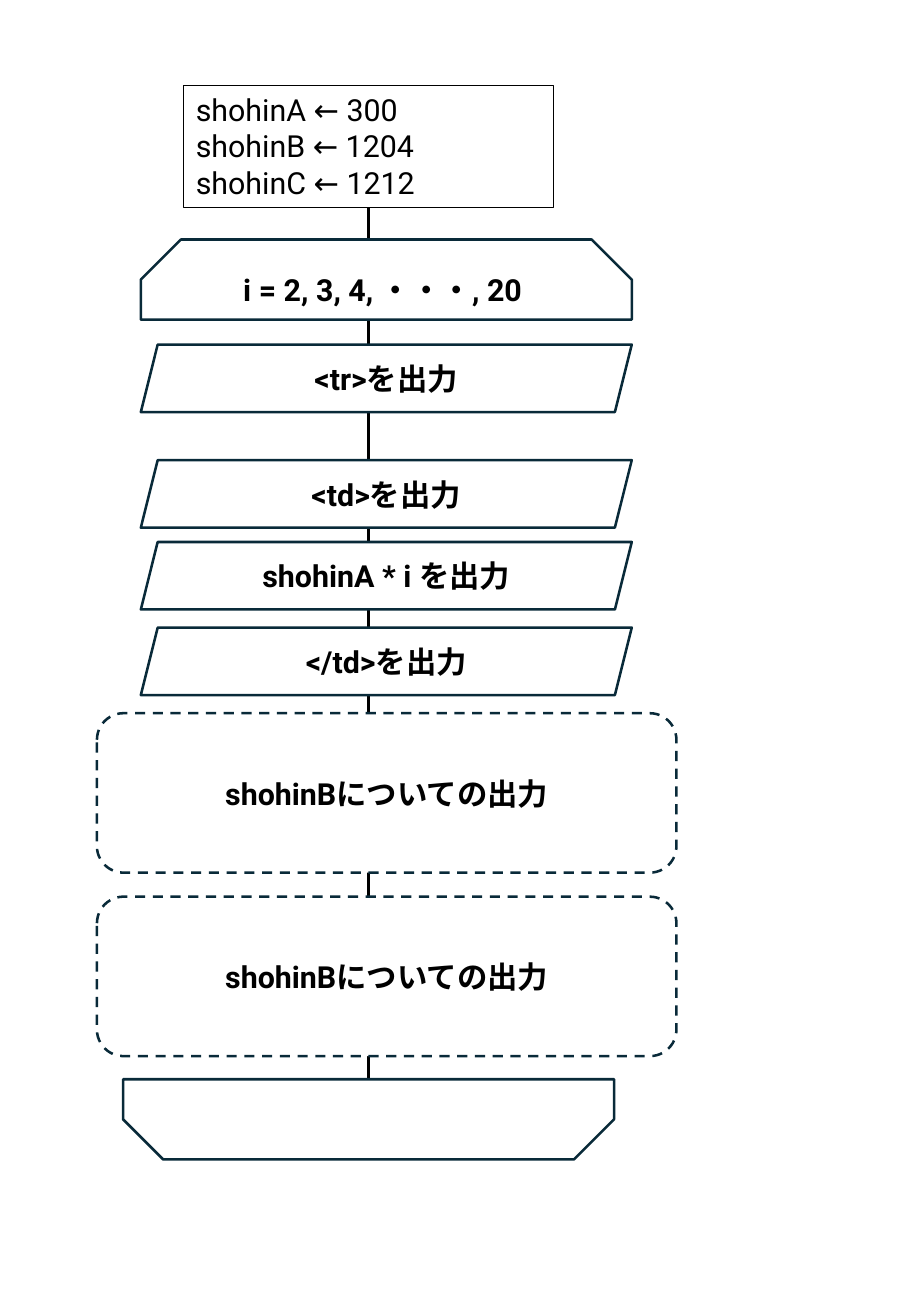
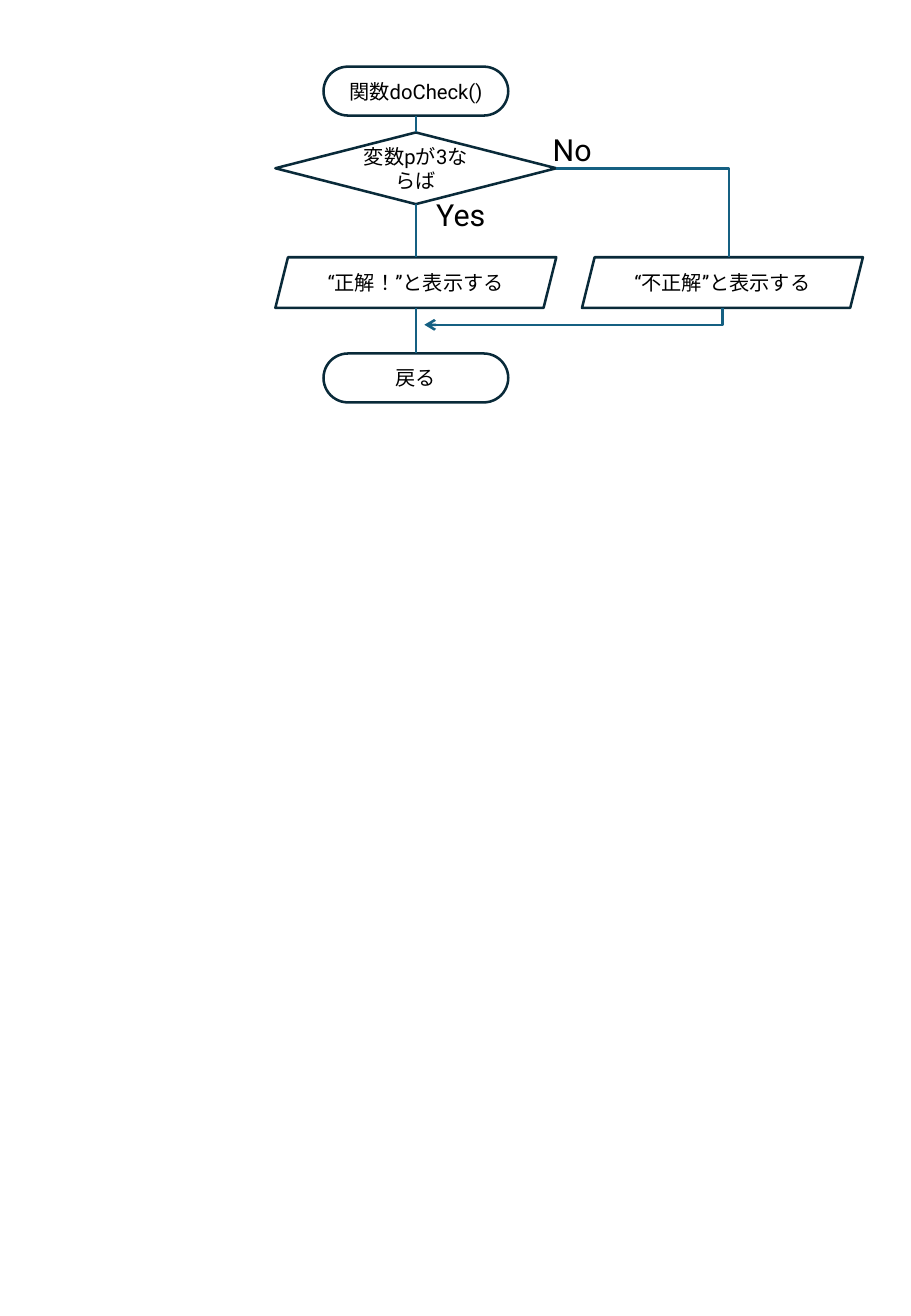
from dataclasses import dataclass
from typing import Optional

from lxml.etree import SubElement
from pptx import Presentation
from pptx.dml.color import RGBColor
from pptx.enum.dml import MSO_LINE
from pptx.enum.lang import MSO_LANGUAGE_ID
from pptx.enum.shapes import MSO_CONNECTOR, MSO_SHAPE
from pptx.enum.text import MSO_ANCHOR, MSO_AUTO_SIZE, PP_ALIGN
from pptx.oxml.ns import qn
from pptx.shapes.autoshape import Shape
from pptx.shapes.connector import Connector
from pptx.slide import Slide
from pptx.util import Pt

COLORS = {"text": "000000", "outline": "092A39", "paper": "FFFFFF", "route": "156082"}
FONT = "Roboto"
LINE_WIDTH = 1.5
PARALLELOGRAM_TOP_EDGE = 1
PARALLELOGRAM_BOTTOM = 4


@dataclass(frozen=True)
class Node:
    kind: MSO_SHAPE
    left: float
    top: float
    width: float
    height: float
    text: str = ""
    size: float = 18
    bold: bool = True
    fill: Optional[str] = "paper"
    outline: str = "outline"
    line_width: float = LINE_WIDTH
    dashed: bool = False
    adjustments: tuple[float, ...] = ()
    flipped: bool = False
    centered: bool = True

    @property
    def center(self) -> float:
        return self.left + self.width / 2

    @property
    def middle(self) -> float:
        return self.top + self.height / 2

    @property
    def bottom(self) -> float:
        return self.top + self.height


def color(name: str) -> RGBColor:
    return RGBColor.from_string(COLORS[name])


def write_text(shape: Shape, text: str, size: float, bold: bool, centered: bool) -> None:
    frame = shape.text_frame
    frame.word_wrap = True
    frame.vertical_anchor = MSO_ANCHOR.MIDDLE if centered else MSO_ANCHOR.TOP
    if not centered:
        frame.auto_size = MSO_AUTO_SIZE.SHAPE_TO_FIT_TEXT
    for index, line in enumerate(text.split("\n")):
        paragraph = frame.add_paragraph() if index else frame.paragraphs[0]
        paragraph.alignment = PP_ALIGN.CENTER if centered else PP_ALIGN.LEFT
        run = paragraph.add_run()
        run.text = line
        run.font.language_id = MSO_LANGUAGE_ID.JAPANESE
        run.font.size = Pt(size)
        run.font.bold = bold
        run.font.color.rgb = color("text")
        run.font.name = FONT
        SubElement(run._r.get_or_add_rPr(), qn("a:ea"), typeface=FONT)


def add_node(slide: Slide, node: Node) -> Shape:
    shape = slide.shapes.add_shape(
        node.kind, Pt(node.left), Pt(node.top), Pt(node.width), Pt(node.height)
    )
    shape.shadow.inherit = False
    for index, value in enumerate(node.adjustments):
        shape.adjustments[index] = value
    if node.flipped:
        shape._element.spPr.xfrm.set("flipV", "1")
    if node.fill:
        shape.fill.solid()
        shape.fill.fore_color.rgb = color(node.fill)
    else:
        shape.fill.background()
    shape.line.color.rgb = color(node.outline)
    shape.line.width = Pt(node.line_width)
    if node.dashed:
        shape.line.dash_style = MSO_LINE.DASH
    if node.text:
        write_text(shape, node.text, node.size, node.bold, node.centered)
    return shape


def add_label(slide: Slide, text: str, left: float, top: float) -> None:
    box = slide.shapes.add_textbox(Pt(left), Pt(top), Pt(51), Pt(29))
    write_text(box, text, 18, False, False)


def style_connector(connector: Connector, color_name: str) -> None:
    connector.line.color.rgb = color(color_name)
    connector.line.width = Pt(LINE_WIDTH)
    SubElement(connector._element.spPr, qn("a:effectLst"))


def add_vertical(
    slide: Slide, x: float, top: float, bottom: float, color_name: str
) -> Connector:
    connector = slide.shapes.add_connector(
        MSO_CONNECTOR.STRAIGHT, Pt(x), Pt(top), Pt(x), Pt(bottom)
    )
    style_connector(connector, color_name)
    return connector


def glue(connector: Connector, tag: str, shape: Shape, site: int) -> None:
    """Join an end to a site that begin_connect and end_connect do not offer."""
    holder = connector._element.find(f".//{qn('p:cNvCxnSpPr')}")
    SubElement(holder, qn(tag), id=str(shape.shape_id), idx=str(site))


def add_corner(
    slide: Slide,
    begin: tuple[float, float],
    end: tuple[float, float],
    down_first: bool = False,
) -> Connector:
    """Draw a one-bend connector that goes down, either after or before going across."""
    width, height = abs(end[0] - begin[0]), abs(end[1] - begin[1])
    if down_first:
        width, height = height, width
    left = (begin[0] + end[0] - width) / 2
    top = (begin[1] + end[1] - height) / 2
    connector = slide.shapes.add_connector(
        MSO_CONNECTOR.ELBOW, Pt(left), Pt(top), Pt(left + width), Pt(top + height)
    )
    properties = connector._element.spPr
    properties.find(qn("a:prstGeom")).set("prst", "bentConnector2")
    if down_first:
        properties.find(qn("a:xfrm")).set("rot", "5400000")
    style_connector(connector, "route")
    return connector


def build_loop_slide(slide: Slide) -> None:
    left, width = 83.5, 291
    start = Node(
        MSO_SHAPE.RECTANGLE, 109, 50.5, 219, 72.5,
        "shohinA ← 300\nshohinB ← 1204\nshohinC ← 1212",
        bold=False, fill=None, outline="text", line_width=0.75, centered=False,
    )
    loop_end = Node(
        MSO_SHAPE.SNIP_2_SAME_RECTANGLE, 73, 639.75, width, 47.5,
        fill=None, adjustments=(0.5, 0), flipped=True,
    )
    start_shape = add_node(slide, start)
    trunk = add_vertical(slide, start.center, start.bottom, loop_end.top, "text")
    trunk.begin_connect(start_shape, 2)

    add_node(slide, Node(
        MSO_SHAPE.SNIP_2_SAME_RECTANGLE, left, 142, width, 47.5,
        "i = 2, 3, 4, ・・・, 20 ", adjustments=(0.5, 0),
    ))
    outputs = (
        (204.25, "<tr>を出力"),
        (272.75, "<td>を出力"),
        (321.25, "shohinA * i を出力"),
        (372, "</td>を出力"),
    )
    for top, text in outputs:
        add_node(slide, Node(MSO_SHAPE.PARALLELOGRAM, left, top, width, 40, text))
    for top in (422.75, 531.5):
        add_node(slide, Node(
            MSO_SHAPE.ROUNDED_RECTANGLE, 57.5, top, 343.5, 94.5,
            "shohinBについての出力", dashed=True,
        ))
    add_node(slide, loop_end)


def build_check_slide(slide: Slide) -> None:
    def step(
        kind: MSO_SHAPE, left: float, top: float, width: float, height: float,
        text: str, *adjustments: float,
    ) -> Node:
        return Node(kind, left, top, width, height, text, 12, False, None,
                    adjustments=adjustments)

    entry = step(MSO_SHAPE.ROUNDED_RECTANGLE, 191.75, 39.5, 109.5, 29, "関数doCheck()", 0.5)
    decision = step(MSO_SHAPE.DIAMOND, 163.25, 78.5, 166.5, 42.5, "変数pが3ならば")
    correct = step(MSO_SHAPE.PARALLELOGRAM, 163.25, 152.5, 166.5, 30, "“正解！”と表示する")
    wrong = step(MSO_SHAPE.PARALLELOGRAM, 345, 152.5, 166.5, 30, "“不正解”と表示する")
    back = step(MSO_SHAPE.ROUNDED_RECTANGLE, 191.75, 209.5, 109.5, 29, "戻る", 0.5)
    shapes = {node: add_node(slide, node)
              for node in (entry, decision, correct, wrong, back)}

    for upper, lower in ((entry, decision), (decision, correct), (correct, back)):
        connector = add_vertical(slide, upper.center, upper.bottom, lower.top, "route")
        if upper.kind == MSO_SHAPE.PARALLELOGRAM:
            glue(connector, "a:stCxn", shapes[upper], PARALLELOGRAM_BOTTOM)
        else:
            connector.begin_connect(shapes[upper], 2)
        connector.end_connect(shapes[lower], 0)

    no_route = add_corner(
        slide, (decision.left + decision.width, decision.middle), (432, wrong.top)
    )
    glue(no_route, "a:stCxn", shapes[decision], 3)
    glue(no_route, "a:endCxn", shapes[wrong], PARALLELOGRAM_TOP_EDGE)

    merge_route = add_corner(slide, (wrong.center, wrong.bottom), (251.5, 192.5), True)
    glue(merge_route, "a:stCxn", shapes[wrong], PARALLELOGRAM_BOTTOM)
    SubElement(merge_route.line._get_or_add_ln(), qn("a:tailEnd"), type="arrow")

    add_label(slide, "Yes", 251.5, 113)
    add_label(slide, "No", 320.5, 74)


def main() -> None:
    presentation = Presentation()
    presentation.slide_width = Pt(540)
    presentation.slide_height = Pt(780)
    for build in (build_loop_slide, build_check_slide):
        build(presentation.slides.add_slide(presentation.slide_layouts[6]))
    presentation.save("out.pptx")


if __name__ == "__main__":
    main()
